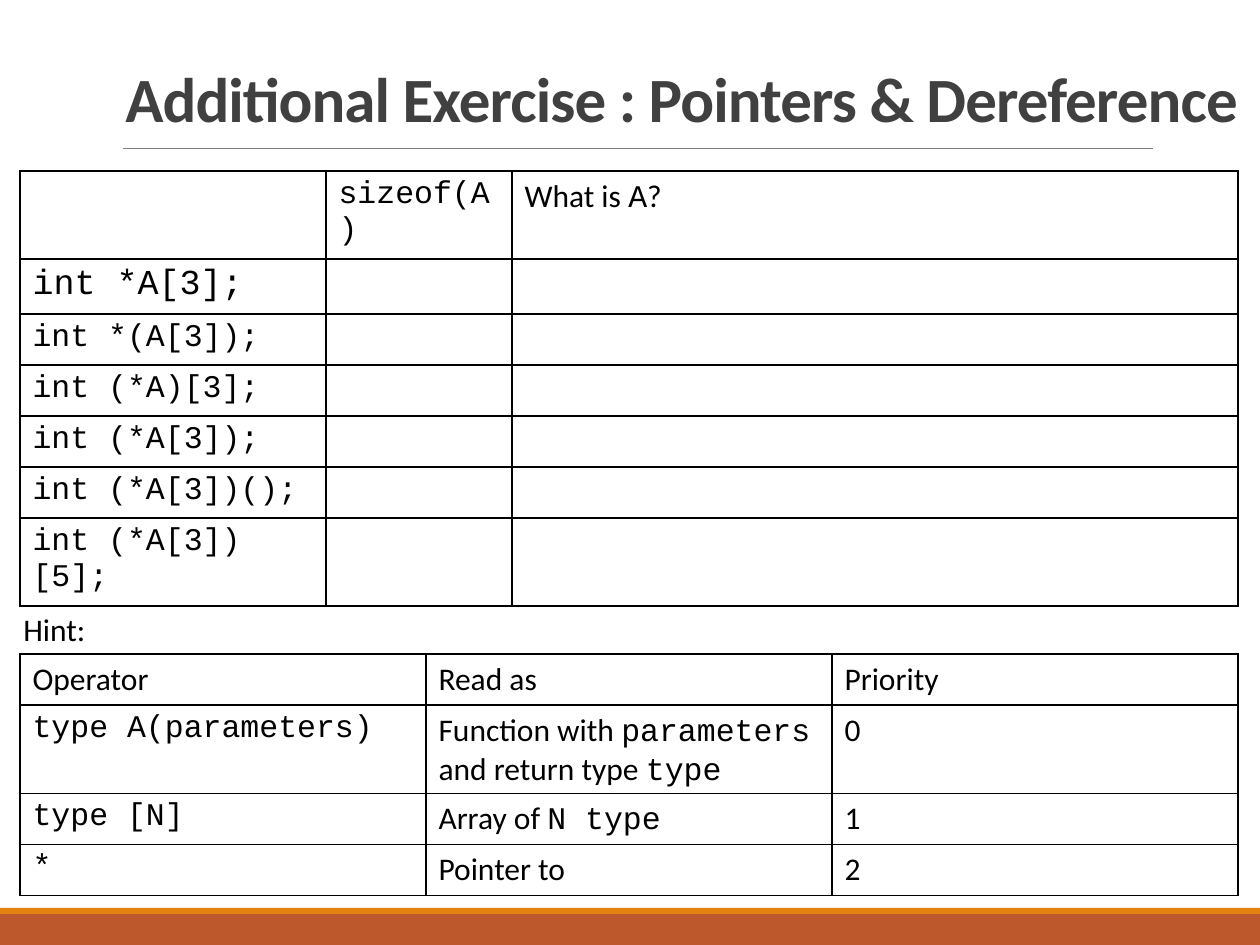
from lxml import etree
from pptx import Presentation
from pptx.dml.color import RGBColor
from pptx.enum.shapes import MSO_CONNECTOR, MSO_SHAPE
from pptx.enum.text import MSO_ANCHOR
from pptx.oxml.ns import qn
from pptx.util import Emu, Pt

STRAIGHT = MSO_CONNECTOR.STRAIGHT
RECTANGLE = MSO_SHAPE.RECTANGLE
BOTTOM = MSO_ANCHOR.BOTTOM

SLIDE_W, SLIDE_H = 1260, 945
BODY_FONT, CODE_FONT = "Calibri", "Courier New"
BLACK, TITLE_GREY, RULE_GREY = "000000", "404040", "808080"
RUST, ORANGE = "BD582C", "E48312"

DECLARATIONS = [
    ["", "`sizeof(A)`", "What is `A`?"],
    ["`int *A[3];`", "", ""],
    ["`int *(A[3]);`", "", ""],
    ["`int (*A)[3];`", "", ""],
    ["`int (*A[3]);`", "", ""],
    ["`int (*A[3])();`", "", ""],
    ["`int (*A[3])[5];`", "", ""],
]
OPERATORS = [
    ["Operator", "Read as", "Priority"],
    ["`type A(parameters)`", "Function with `parameters` and return type `type`", "0"],
    ["`type [N]`", "Array of `N type`", "1"],
    ["`*`", "Pointer to", "2"],
]


def px(length):
    """Turn pixels into EMU."""
    return Emu(round(length * 914400 / 126))


def color(hex_code):
    """Turn a hex string into a colour."""
    return RGBColor.from_string(hex_code)


def write(paragraph, marked_text, size, hex_code=BLACK, bold=False):
    """Write text whose parts between backticks are set in the code font."""
    for index, part in enumerate(marked_text.split("`")):
        if part:
            run = paragraph.add_run()
            run.text = part
            run.font.name = CODE_FONT if index % 2 else BODY_FONT
            run.font.size = Pt(size)
            run.font.bold = bold
            run.font.color.rgb = color(hex_code)


def add_label(slide, box, text, size, hex_code=BLACK, bold=False):
    """Add a wrapping text box and return its text frame."""
    frame = slide.shapes.add_textbox(*map(px, box)).text_frame
    frame.word_wrap = True
    write(frame.paragraphs[0], text, size, hex_code, bold)
    return frame


def add_heading(slide, box, text):
    """Add the title and the thin rule below it."""
    left, top, width, height = box
    frame = add_label(slide, box, text, 36, TITLE_GREY, True)
    frame.vertical_anchor = BOTTOM
    title = frame.paragraphs[0]
    title.line_spacing = 0.85
    title.runs[0].font._element.set("spc", "-50")
    rule_y = px(top + height + 6)
    rule = slide.shapes.add_connector(
        STRAIGHT, px(left + 10), rule_y, px(left + 1040), rule_y)
    rule.line.color.rgb = color(RULE_GREY)
    rule.line.width = Pt(0.5)
    etree.SubElement(rule._element.spPr, qn("a:effectLst"))


def add_footer(slide, box):
    """Add the rust band with an orange strip along its top."""
    left, top, width, height = box
    strip = 6
    for y, band_height, hex_code in ((top + strip, height - strip, RUST),
                                     (top, strip, ORANGE)):
        band = slide.shapes.add_shape(
            RECTANGLE, px(left), px(y), px(width), px(band_height))
        band.shadow.inherit = False
        band.fill.solid()
        band.fill.fore_color.rgb = color(hex_code)
        band.line.fill.background()


def outline(cell):
    """Give a cell black borders and no fill."""
    properties = cell._tc.get_or_add_tcPr()
    for side in ("a:lnL", "a:lnR", "a:lnT", "a:lnB"):
        border = etree.SubElement(properties, qn(side), w=str(Pt(1)))
        fill = etree.SubElement(border, qn("a:solidFill"))
        etree.SubElement(fill, qn("a:srgbClr"), val=BLACK)
    cell.fill.background()


def add_grid(slide, box, rows, widths, heights, sizes):
    """Add a plain ruled table; sizes maps row numbers to odd text sizes."""
    table = slide.shapes.add_table(len(rows), len(widths), *map(px, box)).table
    table.first_row = False
    table.horz_banding = False
    for column, width in zip(table.columns, widths):
        column.width = px(width)
    for number, (row, texts) in enumerate(zip(table.rows, rows)):
        row.height = px(heights[number])
        for cell, text in zip(row.cells, texts):
            outline(cell)
            write(cell.text_frame.paragraphs[0], text, sizes.get(number, 18))


def main():
    """Build the exercise slide."""
    deck = Presentation()
    deck.slide_width, deck.slide_height = px(SLIDE_W), px(SLIDE_H)
    slide = deck.slides.add_slide(deck.slide_layouts[6])
    add_footer(slide, (0, 908, SLIDE_W, 37))
    add_heading(slide, (113, 39, 1162, 103),
                "Additional Exercise : Pointers & Dereference")
    add_grid(slide, (20, 654, 1218, 246), OPERATORS,
             [406] * 3, [51, 88, 51, 51], {})
    add_grid(slide, (20, 171, 1218, 357), DECLARATIONS,
             [306, 186, 726], [51] * 7, {1: 20})
    add_label(slide, (11, 604, 316, 50), "Hint:", 18)
    deck.save("out.pptx")


if __name__ == "__main__":
    main()
